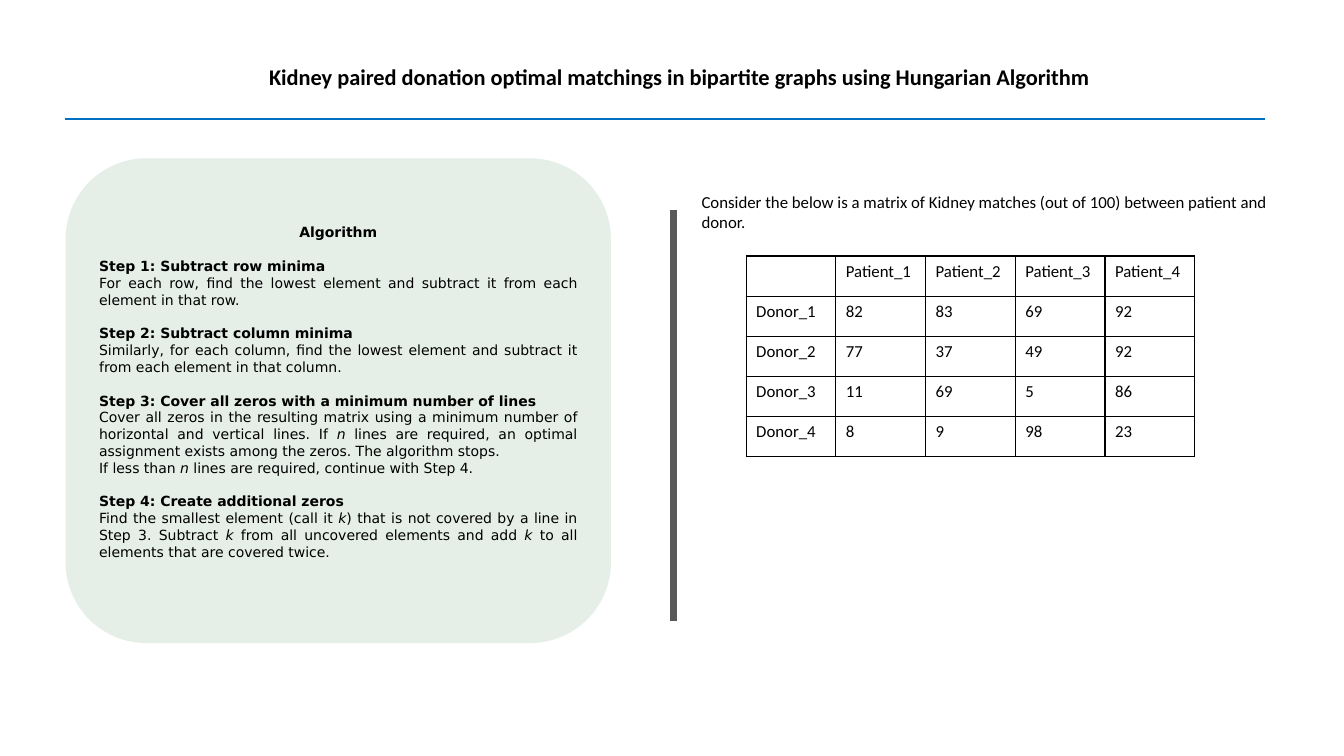
from lxml.etree import SubElement
from pptx import Presentation
from pptx.dml.color import RGBColor
from pptx.enum.shapes import MSO_CONNECTOR as Line, MSO_SHAPE as Shape
from pptx.enum.text import MSO_ANCHOR as Anchor, PP_ALIGN as Align
from pptx.oxml.ns import qn
from pptx.util import Pt

PX = 9144  # 100 px to the inch
BLACK = "000000"
STEPS = [
    ("Step 1: Subtract row minima",
     ["For each row, find the lowest element and subtract it from each element in that row."]),
    ("Step 2: Subtract column minima",
     ["Similarly, for each column, find the lowest element and subtract it from each element "
      "in that column."]),
    ("Step 3: Cover all zeros with a minimum number of lines",
     ["Cover all zeros in the resulting matrix using a minimum number of horizontal and vertical "
      "lines. If *n* lines are required, an optimal assignment exists among the zeros. "
      "The algorithm stops.",
      "If less than *n* lines are required, continue with Step 4."]),
    ("Step 4: Create additional zeros",
     ["Find the smallest element (call it *k*) that is not covered by a line in Step 3. "
      "Subtract *k* from all uncovered elements and add *k* to all elements that are "
      "covered twice."]),
]
MATCHES = [
    ["", "Patient_1", "Patient_2", "Patient_3", "Patient_4"],
    ["Donor_1", 82, 83, 69, 92],
    ["Donor_2", 77, 37, 49, 92],
    ["Donor_3", 11, 69, 5, 86],
    ["Donor_4", 8, 9, 98, 23],
]


def colour(value):
    return RGBColor.from_string(value)


def emu(*lengths):
    return [length * PX for length in lengths]


def write(para, text, size, font="Calibri", bold=False, **layout):
    """Fill a paragraph; parts between asterisks are italic."""
    for name, value in layout.items():
        setattr(para, name, value)
    for index, part in enumerate(text.split("*")):
        span = para.add_run()
        span.text = part
        look = {"size": Pt(size), "name": font, "bold": bold, "italic": index % 2 == 1}
        for name, value in look.items():
            setattr(span.font, name, value)
        span.font.color.rgb = colour(BLACK)


def add_text(page, box, text, size, anchor=Anchor.TOP, **look):
    frame = page.shapes.add_textbox(*emu(*box)).text_frame
    frame.word_wrap = True
    frame.vertical_anchor = anchor
    write(frame.paragraphs[0], text, size, **look)


def add_line(page, ends, tone, weight):
    line = page.shapes.add_connector(Line.STRAIGHT, *emu(*ends))
    line.line.color.rgb = colour(tone)
    line.line.width = Pt(weight)
    SubElement(line._element.spPr, qn("a:effectLst"))


def add_header(page, left, top, width, height):
    add_text(page, (left + 28, top, width - 27, height),
             "Kidney paired donation optimal matchings in bipartite graphs using Hungarian Algorithm",
             16, Anchor.MIDDLE, bold=True, alignment=Align.CENTER, line_spacing=0.9)
    rule = top + height - 11
    add_line(page, (left, rule, left + width, rule), "0070C0", 1.5)


def add_algorithm(page, *box):
    panel = page.shapes.add_shape(Shape.ROUNDED_RECTANGLE, *emu(*box))
    panel.shadow.inherit = False
    panel.line.fill.background()
    panel.fill.solid()
    panel.fill.fore_color.rgb = colour("C9DFCF")
    tint = panel._element.spPr.find(qn("a:solidFill"))[0]
    SubElement(tint, qn("a:alpha"), val="47000")

    frame = panel.text_frame
    frame.word_wrap = True
    frame.vertical_anchor = Anchor.MIDDLE
    frame.margin_bottom = 22 * PX
    look = {"size": 10, "font": "DejaVu Sans"}
    write(frame.paragraphs[0], "Algorithm", bold=True, alignment=Align.CENTER, **look)
    for heading, lines in STEPS:
        write(frame.add_paragraph(), heading, bold=True, alignment=Align.JUSTIFY,
              space_before=Pt(12), **look)
        for line in lines:
            write(frame.add_paragraph(), line, alignment=Align.JUSTIFY, **look)


def add_border(cell):
    properties = cell._tc.get_or_add_tcPr()
    for index, side in enumerate(("lnL", "lnR", "lnT", "lnB")):
        edge = properties.makeelement(qn("a:" + side), {"w": str(Pt(1))})
        fill = SubElement(edge, qn("a:solidFill"))
        SubElement(fill, qn("a:srgbClr"), val=BLACK)
        properties.insert(index, edge)


def add_matches(page, left, top, width, height):
    add_text(page, (left, top, width, 50),
             "Consider the below is a matrix of Kidney matches (out of 100) between patient "
             "and donor.", 12)
    # Matrix of donors by patients
    rows, columns = len(MATCHES), len(MATCHES[0])
    table = page.shapes.add_table(rows, columns, *emu(left + 54, top + 69, 445, height - 69)).table
    for row, values in enumerate(MATCHES):
        for column, value in enumerate(values):
            cell = table.cell(row, column)
            cell.fill.solid()
            cell.fill.fore_color.rgb = colour("FFFFFF")
            add_border(cell)
            write(cell.text_frame.paragraphs[0], str(value), 12)


def main():
    deck = Presentation()
    deck.slide_width, deck.slide_height = emu(1333, 750)
    page = deck.slides.add_slide(deck.slide_layouts[6])
    add_header(page, 64, 27, 1191, 102)
    add_algorithm(page, 65, 157, 541, 481)
    add_matches(page, 686, 185, 582, 268)
    # Divider between the two halves
    add_line(page, (668, 208, 668, 616), "595959", 4.5)
    deck.save("out.pptx")


if __name__ == "__main__":
    main()
